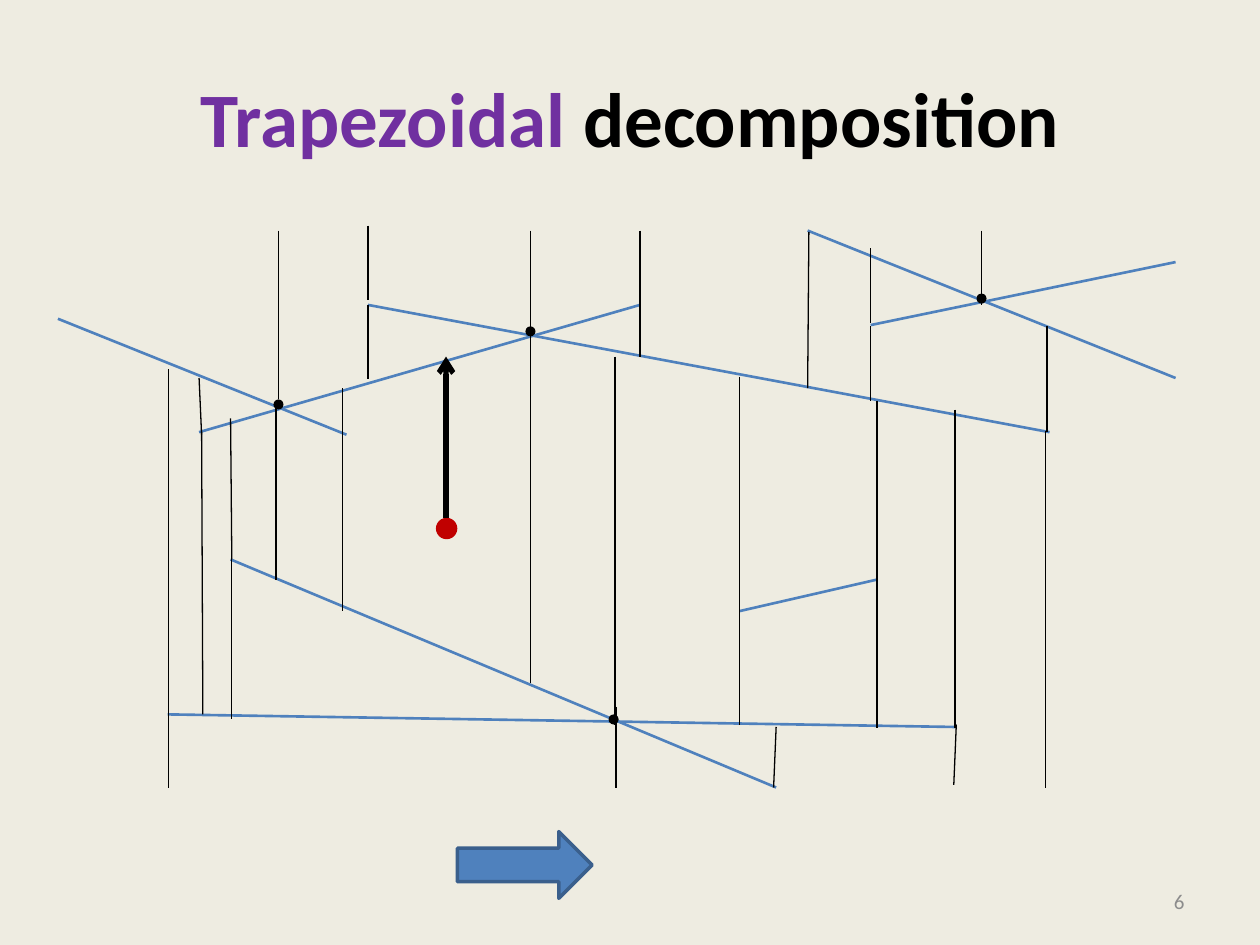
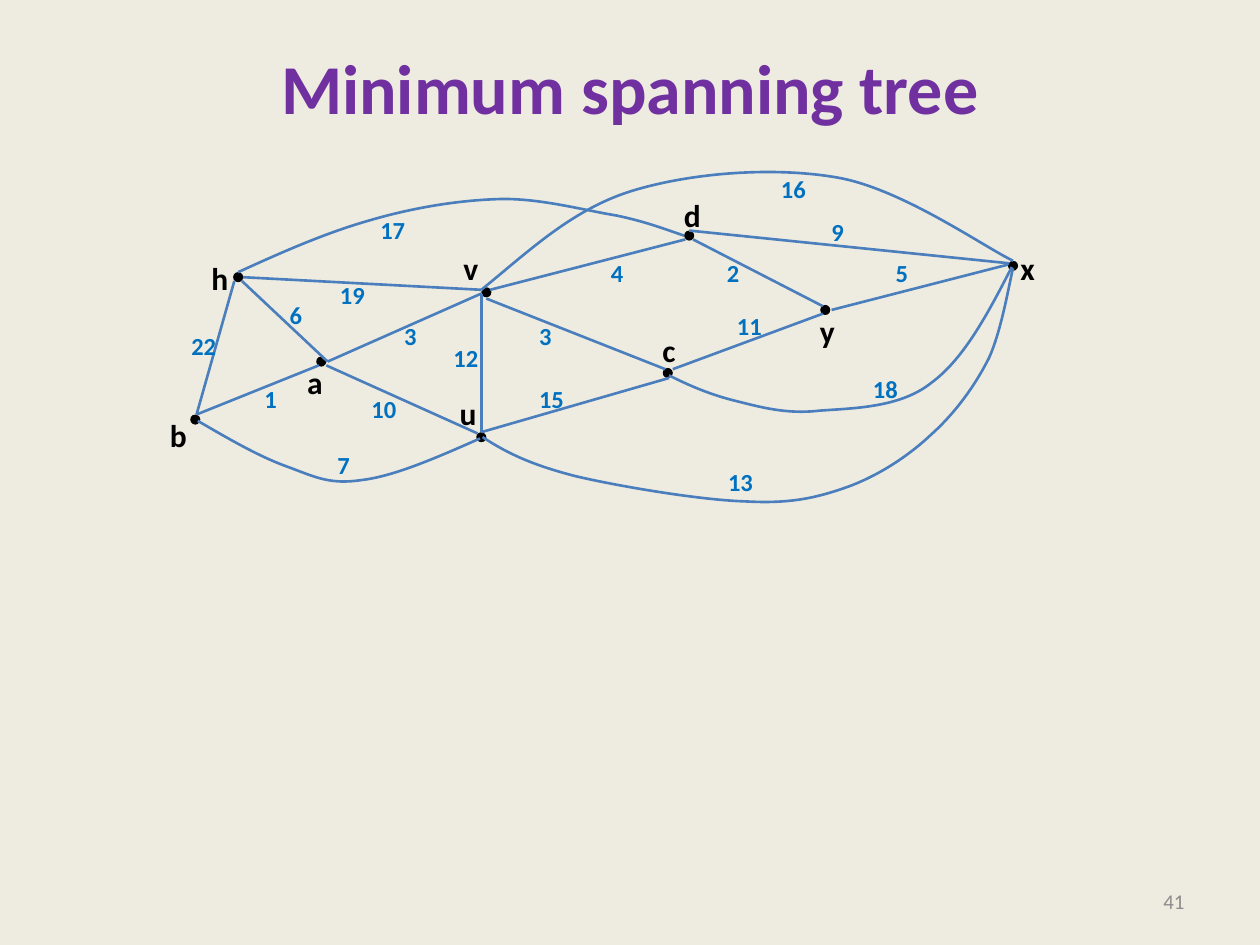
from dataclasses import dataclass

from pptx import Presentation
from pptx.dml.color import RGBColor
from pptx.enum.shapes import MSO_CONNECTOR, MSO_SHAPE
from pptx.enum.text import MSO_ANCHOR, MSO_AUTO_SIZE, PP_ALIGN
from pptx.oxml.ns import qn
from pptx.util import Inches, Pt

SLIDE_WIDTH, SLIDE_HEIGHT = Inches(10), Inches(7.5)
COLUMN = SLIDE_WIDTH / 10
ROW = SLIDE_HEIGHT / 7.5
FONT = "Calibri"
DOT_SIZE = 0.08

CREAM = RGBColor(0xEE, 0xEC, 0xE1)
PURPLE = RGBColor(0x70, 0x30, 0xA0)
BLACK = RGBColor(0x00, 0x00, 0x00)
GRAY = RGBColor(0x8C, 0x8C, 0x8C)
BLUE = RGBColor(0x4F, 0x81, 0xBD)
DARK_BLUE = RGBColor(0x3A, 0x5F, 0x8C)
EDGE_BLUE = RGBColor(0x4B, 0x7E, 0xBC)
WEIGHT_BLUE = RGBColor(0x00, 0x70, 0xC0)
RED = RGBColor(0xC0, 0x00, 0x00)


@dataclass
class Box:
    """A region in grid columns and rows; its contents count from its corner."""
    left: float
    top: float
    width: float
    height: float

    def point(self, x, y):
        return round((self.left + x) * COLUMN), round((self.top + y) * ROW)

    def inner(self, x, y, width, height):
        return Box(self.left + x, self.top + y, width, height)

    def frame(self):
        return (*self.point(0, 0), round(self.width * COLUMN), round(self.height * ROW))


TITLE_BOX = Box(0.5, 0.3, 9, 1.25)
NUMBER_BOX = Box(7.17, 6.95, 2.33, 0.4)
DECOMPOSITION_BOX = Box(0, 1.5, 10, 5.75)
GRAPH_BOX = Box(1, 1, 7.5, 3.25)

# Straight lines: x1, y1, x2, y2
SEGMENTS = [
    (7.58, 4.27, 1.33, 4.17), (5.08, 0.92, 1.58, 1.93),
    (6.96, 3.1, 5.87, 3.35), (8.33, 1.93, 2.92, 0.92),
    (6.16, 4.75, 1.83, 2.94), (9.33, 0.58, 6.91, 1.08),
    (9.33, 1.5, 6.41, 0.33), (2.75, 1.95, 0.46, 1.03),
]
SLANTED_WALLS = [
    (1.6, 1.95, 1.58, 1.5), (6.14, 4.75, 6.16, 4.27),
    (1.84, 2.94, 1.83, 1.82), (1.61, 4.17, 1.6, 1.92),
    (7.57, 4.73, 7.59, 4.25), (6.41, 1.58, 6.42, 0.34),
]
# Vertical walls: x, then the top and bottom of each stretch
WALLS = [
    (1.34, (1.43, 4.17), (4.11, 4.75)),
    (1.84, (2.94, 4.21)),
    (2.19, (1.68, 3.1)),
    (2.21, (0.33, 1.67)),
    (2.72, (1.58, 1.89), (1.89, 3.35)),
    (2.92, (0.29, 0.88), (0.92, 1.51)),
    (4.21, (0.33, 1.11), (1.11, 3.92)),
    (4.88, (1.33, 4.25)),
    (4.89, (4.11, 4.75)),
    (5.08, (0.33, 0.92), (0.92, 1.33)),
    (5.87, (1.49, 3.35), (3.32, 4.25)),
    (6.91, (0.47, 1.06), (1.09, 1.68)),
    (6.96, (1.68, 3.1), (3.1, 4.28)),
    (7.58, (1.75, 4.28)),
    (7.79, (0.33, 0.92)),
    (8.3, (1.92, 4.75)),
    (8.31, (1.09, 1.93)),
]
CROSSINGS = [(4.17, 1.09), (7.75, 0.83), (4.83, 4.17), (2.17, 1.67)]

# Name, corner of the dot, corner of the label
NODES = [
    ("h", (0.85, 1.16), (0.58, 1.01)),
    ("b", (0.51, 2.29), (0.25, 2.25)),
    ("c", (4.26, 1.92), (4.16, 1.58)),
    ("d", (4.43, 0.83), (4.33, 0.51)),
    ("u", (2.78, 2.43), (2.55, 2.08)),
    ("y", (5.51, 1.42), (5.41, 1.43)),
    ("v", (2.82, 1.28), (2.58, 0.93)),
    ("a", (1.51, 1.83), (1.34, 1.83)),
    ("x", (7, 1.07), (7, 0.93)),
]
# Weight, corner of its label, x1, y1, x2, y2
STRAIGHT_EDGES = [
    (6, (1.2, 1.33), (0.92, 1.23, 1.6, 1.87)),
    (1, (1, 2), (0.56, 2.29, 1.53, 1.9)),
    (3, (2.11, 1.5), (1.6, 1.87, 2.82, 1.33)),
    (10, (1.85, 2.08), (1.59, 1.9, 2.79, 2.44)),
    (12, (2.5, 1.67), (2.82, 1.33, 2.82, 2.43)),
    (4, (3.75, 1), (4.44, 0.9, 2.89, 1.3)),
    (3, (3.18, 1.5), (4.28, 1.93, 2.86, 1.37)),
    (15, (3.18, 2), (2.82, 2.43, 4.31, 2)),
    (2, (4.67, 1), (5.53, 1.43, 4.5, 0.9)),
    (11, (4.75, 1.42), (4.34, 1.93, 5.53, 1.49)),
    (5, (6.01, 1), (7, 1.1, 5.6, 1.46)),
    (22, (0.42, 1.58), (0.86, 1.23, 0.56, 2.29)),
    (9, (5.5, 0.67), (7.01, 1.09, 4.47, 0.83)),
    (19, (1.6, 1.17), (0.93, 1.2, 2.82, 1.3)),
]
# Weight, corner of its label, start followed by three points per Bezier arc
CURVED_EDGES = [
    (18, (5.83, 1.92), [
        (4.31, 1.98), (4.47, 2.06), (4.63, 2.13), (4.83, 2.18),
        (5.03, 2.23), (5.24, 2.29), (5.5, 2.26),
        (5.76, 2.24), (6.14, 2.24), (6.39, 2.04),
        (6.65, 1.85), (6.84, 1.49), (7.03, 1.12)]),
    (13, (4.68, 2.66), [
        (2.83, 2.47), (3.03, 2.6), (3.22, 2.69), (3.57, 2.78),
        (3.91, 2.86), (4.56, 2.97), (4.92, 2.98),
        (5.28, 3), (5.49, 2.95), (5.74, 2.86),
        (5.98, 2.77), (6.21, 2.62), (6.39, 2.45),
        (6.58, 2.28), (6.74, 2.06), (6.85, 1.84),
        (6.95, 1.62), (7.01, 1.25), (7.04, 1.13)]),
    (7, (1.58, 2.52), [
        (0.57, 2.34), (0.81, 2.48), (1.05, 2.62), (1.27, 2.7),
        (1.49, 2.78), (1.61, 2.85), (1.87, 2.81),
        (2.13, 2.78), (2.47, 2.63), (2.81, 2.48)]),
    (17, (1.92, 0.66), [
        (0.89, 1.16), (1.24, 1), (1.58, 0.85), (1.93, 0.75),
        (2.27, 0.65), (2.63, 0.59), (2.96, 0.58),
        (3.28, 0.57), (3.64, 0.67), (3.89, 0.71),
        (4.13, 0.76), (4.28, 0.82), (4.43, 0.87)]),
    (16, (5.1, 0.33), [
        (2.82, 1.3), (3.19, 1), (3.53, 0.67), (4, 0.52),
        (4.48, 0.37), (5.14, 0.32), (5.65, 0.41),
        (6.16, 0.5), (6.81, 0.96), (7.04, 1.07)]),
]


def add_run(paragraph, text, size, color, bold=False):
    run = paragraph.add_run()
    run.text = text
    font = run.font
    font.name, font.size, font.bold = FONT, Pt(size), bold
    font.color.rgb = color


def add_text(slide, box, text, align=PP_ALIGN.LEFT, anchor=MSO_ANCHOR.TOP,
             wrap=True, **font):
    shape = slide.shapes.add_textbox(*box.frame())
    frame = shape.text_frame
    frame.word_wrap, frame.vertical_anchor = wrap, anchor
    frame.auto_size = MSO_AUTO_SIZE.NONE if wrap else MSO_AUTO_SIZE.SHAPE_TO_FIT_TEXT
    paragraph = frame.paragraphs[0]
    paragraph.alignment = align
    add_run(paragraph, text, **font)


def add_line(slide, box, ends, color, width, arrow=False):
    x1, y1, x2, y2 = ends
    connector = slide.shapes.add_connector(
        MSO_CONNECTOR.STRAIGHT, *box.point(x1, y1), *box.point(x2, y2))
    connector.line.color.rgb = color
    connector.line.width = Pt(width)
    if arrow:
        line = connector.get_or_add_ln()
        line.append(line.makeelement(qn("a:tailEnd"), {"type": "arrow"}))
    properties = connector._element.spPr
    properties.append(properties.makeelement(qn("a:effectLst"), {}))


def add_filled(slide, kind, box, fill, outline=None):
    shape = slide.shapes.add_shape(kind, *box.frame())
    shape.shadow.inherit = False
    shape.fill.solid()
    shape.fill.fore_color.rgb = fill
    if outline is None:
        shape.line.fill.background()
    else:
        shape.line.color.rgb = outline
        shape.line.width = Pt(2)


def add_dot(slide, box, corner, size=DOT_SIZE, color=BLACK):
    add_filled(slide, MSO_SHAPE.OVAL, box.inner(*corner, size, size), color)


def add_curve(slide, box, points, color, width):
    """Draw an open outline, turning each three vertices into a Bezier arc."""
    start, *rest = [box.point(*point) for point in points]
    builder = slide.shapes.build_freeform(*start)
    builder.add_line_segments(rest, close=False)
    shape = builder.convert_to_shape()
    shape.shadow.inherit = False
    shape.fill.background()
    shape.line.color.rgb = color
    shape.line.width = Pt(width)
    steps = shape._element.xpath(".//a:lnTo")
    for first in range(0, len(steps), 3):
        arc = steps[first].makeelement(qn("a:cubicBezTo"), {})
        steps[first].addprevious(arc)
        for step in steps[first:first + 3]:
            arc.append(step[0])
            step.getparent().remove(step)


def add_slide(presentation, title_runs, title_size, number, anchor=MSO_ANCHOR.MIDDLE):
    slide = presentation.slides.add_slide(presentation.slide_layouts[5])
    slide.background.fill.solid()
    slide.background.fill.fore_color.rgb = CREAM
    title = slide.shapes.title
    title.left, title.top, title.width, title.height = TITLE_BOX.frame()
    frame = title.text_frame
    frame.auto_size, frame.vertical_anchor = MSO_AUTO_SIZE.NONE, anchor
    frame.paragraphs[0].alignment = PP_ALIGN.CENTER
    for text, color in title_runs:
        add_run(frame.paragraphs[0], text, title_size, color, bold=True)
    add_text(slide, NUMBER_BOX, str(number), align=PP_ALIGN.RIGHT,
             anchor=MSO_ANCHOR.MIDDLE, size=12, color=GRAY)
    return slide


def draw_decomposition(slide, box):
    for segment in SEGMENTS:
        add_line(slide, box, segment, BLUE, 1.5)
    for x, *stretches in WALLS:
        for top, bottom in stretches:
            add_line(slide, box, (x, top, x, bottom), BLACK, 0.75)
    for wall in SLANTED_WALLS:
        add_line(slide, box, wall, BLACK, 0.75)
    for crossing in CROSSINGS:
        add_dot(slide, box, crossing)
    add_filled(slide, MSO_SHAPE.RIGHT_ARROW, box.inner(3.63, 5.1, 1.07, 0.53),
               BLUE, outline=DARK_BLUE)
    add_dot(slide, box, (3.46, 2.61), size=0.17, color=RED)
    add_line(slide, box, (3.54, 2.61, 3.54, 1.33), BLACK, 3, arrow=True)


def draw_weighted_graph(slide, box):
    for name, dot, label in NODES:
        add_dot(slide, box, dot)
        add_text(slide, box.inner(*label, 0.33, 0.4), name, wrap=False,
                 size=18, color=BLACK, bold=True)
    for edges, draw in ((STRAIGHT_EDGES, add_line), (CURVED_EDGES, add_curve)):
        for weight, label, points in edges:
            draw(slide, box, points, EDGE_BLUE, 1.5)
            width = 0.2 + 0.1 * len(str(weight))
            add_text(slide, box.inner(*label, width, 0.34), str(weight), wrap=False,
                     size=14, color=WEIGHT_BLUE, bold=True)


def main():
    presentation = Presentation()
    presentation.slide_width, presentation.slide_height = SLIDE_WIDTH, SLIDE_HEIGHT
    slide = add_slide(presentation, [("Trapezoidal ", PURPLE), ("decomposition", BLACK)],
                      44, 6)
    draw_decomposition(slide, DECOMPOSITION_BOX)
    slide = add_slide(presentation, [("Minimum spanning tree", PURPLE)], 40, 41,
                      anchor=MSO_ANCHOR.TOP)
    draw_weighted_graph(slide, GRAPH_BOX)
    presentation.save("out.pptx")


if __name__ == "__main__":
    main()
